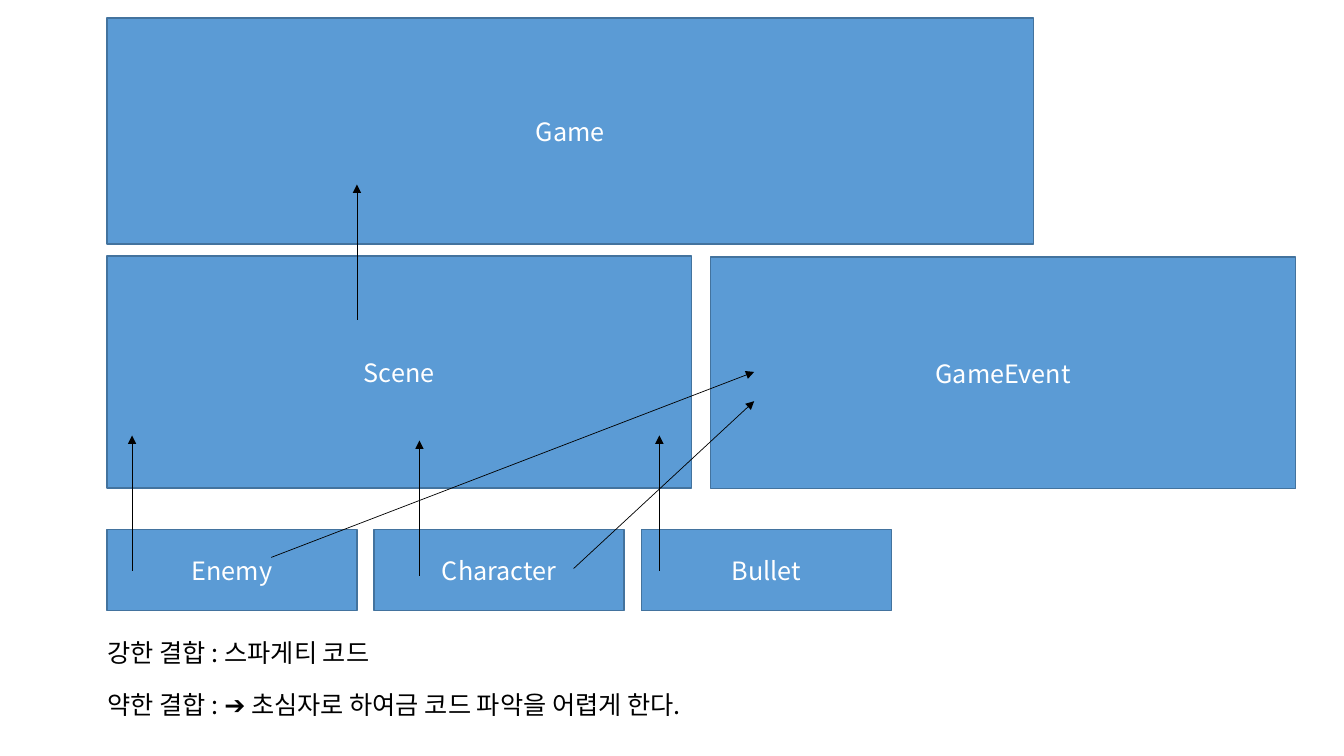
from pptx import Presentation
from pptx.dml.color import RGBColor
from pptx.enum.shapes import MSO_CONNECTOR as Link, MSO_SHAPE as Shape
from pptx.enum.text import MSO_ANCHOR as Anchor, MSO_AUTO_SIZE as Fit, PP_ALIGN as Align
from pptx.oxml.ns import qn
from pptx.util import Inches, Pt
from lxml.etree import SubElement as Sub

FONT = "Noto Sans CJK KR"


def color(code):
    return RGBColor.from_string(code)


def apply(item, form):
    for name, value in form.items():
        setattr(item, name, value)


def write(frame, text, ink, align):
    para = frame.paragraphs[0]
    para.alignment = align
    run = para.add_run()
    run.text = text
    apply(run.font, {"size": Pt(18), "name": FONT})
    run.font.color.rgb = color(ink)
    Sub(run.font._element, qn("a:ea")).set("typeface", FONT)


def block(slide, text, left, top, width, height):
    box = slide.shapes.add_shape(Shape.RECTANGLE, *map(Inches, (left, top, width, height)))
    box.shadow.inherit = False
    box.fill.solid()
    box.fill.fore_color.rgb = color("5B9BD5")
    box.line.color.rgb = color("43739E")
    box.line.width = Pt(1)
    box.text_frame.vertical_anchor = Anchor.MIDDLE
    write(box.text_frame, text, "FFFFFF", Align.CENTER)


def arrow(slide, start, end):
    line = slide.shapes.add_connector(Link.STRAIGHT, *map(Inches, start + end))
    line.line.color.rgb = color("000000")
    line.line.width = Pt(0.5)
    Sub(line.line._get_or_add_ln(), qn("a:tailEnd")).set("type", "triangle")
    Sub(line._element.spPr, qn("a:effectLst"))


def layers(slide, left, top):
    block(slide, "Game", left, top, 9.19, 2.24)
    block(slide, "Scene", left, top + 2.36, 5.8, 2.3)
    block(slide, "GameEvent", left + 5.99, top + 2.37, 5.8, 2.3)


def actors(slide, left, top, width, height, gap):
    for i, name in enumerate(["Enemy", "Character", "Bullet"]):
        block(slide, name, left + i * (width + gap), top, width, height)


def calls(slide, left, top):
    for x, y in [(2.48, 2.99), (0.25, 5.48), (3.1, 5.53), (5.48, 5.48)]:
        arrow(slide, (left + x, top + y), (left + x, top + y - 1.34))
    for x, y, end in [(1.63, 5.35, 3.51), (4.63, 5.46, 3.8)]:
        arrow(slide, (left + x, top + y), (left + 6.42, top + end))


def notes(slide, left, top, step):
    lines = [
        ("강한 결합 : 스파게티 코드", 2.99),
        ("약한 결합 : ➔ 초심자로 하여금 코드 파악을 어렵게 한다.", 6.37),
    ]
    for i, (text, width) in enumerate(lines):
        box = slide.shapes.add_textbox(*map(Inches, (left, top + i * step, width, 0.4)))
        apply(box.text_frame, {"word_wrap": False, "auto_size": Fit.SHAPE_TO_FIT_TEXT})
        write(box.text_frame, text, "000000", Align.LEFT)


def main():
    deck = Presentation()
    apply(deck, {"slide_width": Inches(13.33), "slide_height": Inches(7.5)})
    slide = deck.slides.add_slide(deck.slide_layouts[6])
    left, top = 1.06, 0.18
    layers(slide, left, top)
    actors(slide, left, top + 5.07, 2.48, 0.81, 0.17)
    calls(slide, left, top)
    notes(slide, left - 0.09, top + 6.09, 0.52)
    deck.save("out.pptx")


if __name__ == "__main__":
    main()
